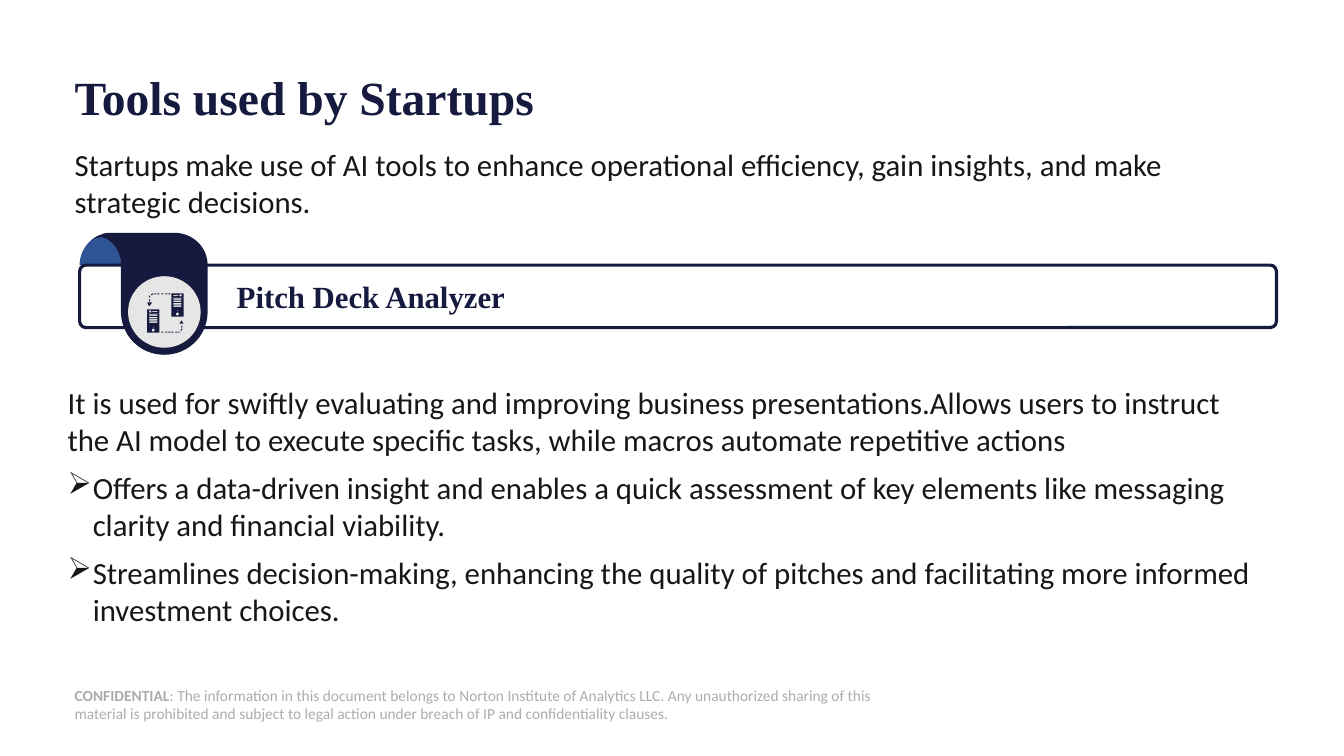
import math
from dataclasses import dataclass

from lxml import etree
from pptx import Presentation
from pptx import util as u
from pptx.dml.color import RGBColor
from pptx.enum import shapes, text
from pptx.oxml import ns

PX = 9144  # EMU per px, 100 px to the inch
INK = {"navy": "161A3E", "blue": "2F5597", "pale": "E7E6E6",
       "text": "181717", "grey": "AFABAB", "white": "FFFFFF"}
SANS, SERIF = "Calibri", "Times New Roman"
KIND = shapes.MSO_SHAPE
MID, TOP = text.MSO_ANCHOR.MIDDLE, text.MSO_ANCHOR.TOP
Point = tuple[float, float]


@dataclass
class Box:
    x: int
    y: int
    w: int
    h: int

    def emu(self) -> list[int]:
        return [n * PX for n in (self.x, self.y, self.w, self.h)]


@dataclass
class Run:
    text: str
    size: int = 22
    font: str = SANS
    ink: str = "text"
    bold: bool = False


@dataclass
class Para:
    runs: list[Run]
    bullet: bool = False


@dataclass
class Server:
    x: int
    y: int
    lamp: int
    slot: int


@dataclass
class Loop:
    """One dashed link: its dashes, corner pieces and arrowhead."""
    row: Point
    post: Point
    bends: list[list[Point]]
    head: list[Point]


def color(name: str) -> RGBColor:
    return RGBColor.from_string(INK[name])


def paint(shape, fill: str, line: str = "") -> None:
    shape.shadow.inherit = False
    shape.fill.solid()
    shape.fill.fore_color.rgb = color(fill)
    if line:
        shape.line.color.rgb = color(line)
        shape.line.width = u.Pt(2.25)
    else:
        shape.line.fill.background()


def block(home, kind, box: Box, fill: str, line: str = ""):
    shape = home.add_shape(kind, *box.emu())
    paint(shape, fill, line)
    return shape


def write(shape, paras: list[Para], anchor=TOP, pad=(0, 0, 0, 0), gap: int = 0) -> None:
    frame = shape.text_frame
    frame.word_wrap = True
    frame.auto_size = text.MSO_AUTO_SIZE.NONE
    frame.vertical_anchor = anchor
    (frame.margin_left, frame.margin_top,
     frame.margin_right, frame.margin_bottom) = [n * PX for n in pad]
    for i, item in enumerate(paras):
        para = frame.add_paragraph() if i else frame.paragraphs[0]
        if item.bullet:
            props = para._p.get_or_add_pPr()
            props.set("marL", str(25 * PX))
            props.set("indent", str(-25 * PX))
            etree.SubElement(props, ns.qn("a:buChar")).set("char", "➢")
        para.alignment = text.PP_ALIGN.LEFT
        para.space_before = u.Pt(gap if i else 0)
        para.space_after = u.Pt(gap)
        for part in item.runs:
            run = para.add_run()
            run.text = part.text
            run.font.size = u.Pt(part.size)
            run.font.name = part.font
            run.font.bold = part.bold
            run.font.color.rgb = color(part.ink)


def note(home, box: Box, paras: list[Para]) -> None:
    write(home.add_textbox(*box.emu()), paras, gap=4)


def outline(home, loops: list[list[Point]], fill: str) -> None:
    """Draw closed loops as one shape; inner loops are holes."""
    first, *rest = [[(x * PX, y * PX) for x, y in loop] for loop in loops]
    form = home.build_freeform(*first[0], scale=1.0)
    form.add_line_segments(first[1:], close=True)
    for loop in rest:
        form.move_to(*loop[0])
        form.add_line_segments(loop[1:], close=True)
    paint(form.convert_to_shape(), fill)


def trace(start: Point, steps: list[tuple[int, ...]]) -> list[Point]:
    """Turn line ends (2 numbers) and Bézier curves (6 numbers) into points."""
    points = [start]
    for step in steps:
        if len(step) == 2:
            points.append(step)
            continue
        ends = [points[-1], step[:2], step[2:4], step[4:]]
        for t in [k / 16 for k in range(1, 17)]:
            mix = [(1 - t) ** 3, 3 * t * (1 - t) ** 2, 3 * t * t * (1 - t), t ** 3]
            points.append(tuple(sum(m * p[a] for m, p in zip(mix, ends)) for a in (0, 1)))
    return points


def frame(x: float, y: float, w: float, h: float) -> list[Point]:
    return [(x, y), (x + w, y), (x + w, y + h), (x, y + h)]


def ring(x: float, y: float, r: float) -> list[Point]:
    turns = [k * math.tau / 16 for k in range(16)]
    return [(x + r * math.cos(a), y + r * math.sin(a)) for a in turns]


def draw_server(home, s: Server) -> None:
    x, y = s.x, s.y + 4
    rows = [frame(x + 2, y + 1 + 2.3 * i, 8, 1.5) for i in range(4)]
    outline(home, [frame(x, y, 12, 19), *rows,
                   ring(x + 6, y + 16.5, 1.5), ring(x + 6, y + 13.5, 0.5)], "navy")
    outline(home, [frame(x, s.y, 12, 4), ring(x + s.lamp, s.y + 2, 1.2),
                   frame(x + s.slot, s.y + 1.5, 5, 1)], "navy")


def draw_loop(home, loop: Loop) -> None:
    x, y = loop.row
    for i in range(5):
        block(home, KIND.RECTANGLE, Box(round(x + 3.5 * i), y, 2, 1), "navy")
    block(home, KIND.RECTANGLE, Box(*loop.post, 1, 2), "navy")
    for piece in [*loop.bends, loop.head]:
        outline(home, [piece], "navy")


FOLD = trace((100, 233), [(88, 237, 79, 249, 79, 263), (120, 263),
                          (120, 249, 112, 238, 100, 233)])
RIBBON = trace((173, 231), [
    (112, 231), (107, 231, 103, 231, 100, 233), (96, 234, 92, 237, 90, 240),
    (95, 234, 104, 234, 110, 240), (116, 245, 120, 254, 120, 263), (120, 309),
    (120, 333, 139, 352, 163, 352), (187, 352, 206, 333, 206, 309), (206, 263),
    (206, 245, 191, 231, 173, 231)])
SERVERS = [Server(146, 307, 3, 5), Server(170, 291, 9, 2)]
LOOPS = [
    Loop((160, 329), (180, 323),
         [[(177, 329), (178, 329), (179, 329.5), (177, 330)],
          [(179, 328), (180, 326), (181, 326), (180, 328)]],
         [(178, 321), (182, 321), (180, 318)]),
    Loop((153, 291), (148, 297),
         [[(152, 292), (152, 291), (150, 292), (150, 293)],
          [(149, 294), (148, 293), (148, 295), (149, 295)]],
         [(151, 300), (146, 300), (148, 304)])]
INTRO = ("Startups make use of AI tools to enhance operational efficiency, "
         "gain insights, and make strategic decisions.")
USE = ("It is used for swiftly evaluating and improving business presentations."
       "Allows users to instruct the AI model to execute specific tasks, "
       "while macros automate repetitive actions")
GAINS = ["Offers a data-driven insight and enables a quick assessment of key elements "
         "like messaging clarity and financial viability.",
         "Streamlines decision-making, enhancing the quality of pitches and "
         "facilitating more informed investment choices."]
LEGAL = (": The information in this document belongs to Norton Institute of Analytics LLC. "
         "Any unauthorized sharing of this material is prohibited and subject to legal "
         "action under breach of IP and confidentiality clauses.")


def main() -> None:
    deck = Presentation()
    deck.slide_width, deck.slide_height = 1333 * PX, 750 * PX
    slide = deck.slides.add_slide(deck.slide_layouts[5])
    home = slide.shapes

    title = home.title
    title.left, title.top, title.width, title.height = Box(74, 66, 1185, 67).emu()
    write(title, [Para([Run("Tools used by Startups", 34, SERIF, "navy", True)])], MID)
    title.text_frame.paragraphs[0].line_spacing = 0.9

    legal = block(home, KIND.RECTANGLE, Box(74, 679, 817, 40), "white")
    write(legal, [Para([Run("CONFIDENTIAL", 11, ink="grey", bold=True),
                        Run(LEGAL, 11, ink="grey")])], MID)
    note(home, Box(74, 145, 1185, 96), [Para([Run(INTRO)])])

    outline(home, [FOLD], "blue")
    bar = block(home, KIND.ROUNDED_RECTANGLE, Box(79, 263, 1187, 62), "white", "navy")
    bar.adjustments[0] = 0.1
    write(bar, [Para([Run("Pitch Deck Analyzer", 22, SERIF, "navy", True)])],
          MID, (154, 5, 10, 5))
    note(home, Box(67, 381, 1185, 96),
         [Para([Run(USE)]), *[Para([Run(gain)], True) for gain in GAINS]])

    outline(home, [RIBBON], "navy")
    block(home, KIND.OVAL, Box(127, 274, 72, 71), "pale")
    icon = home.add_group_shape().shapes
    for server in SERVERS:
        draw_server(icon, server)
    for loop in LOOPS:
        draw_loop(icon, loop)
    deck.save("out.pptx")


if __name__ == "__main__":
    main()
